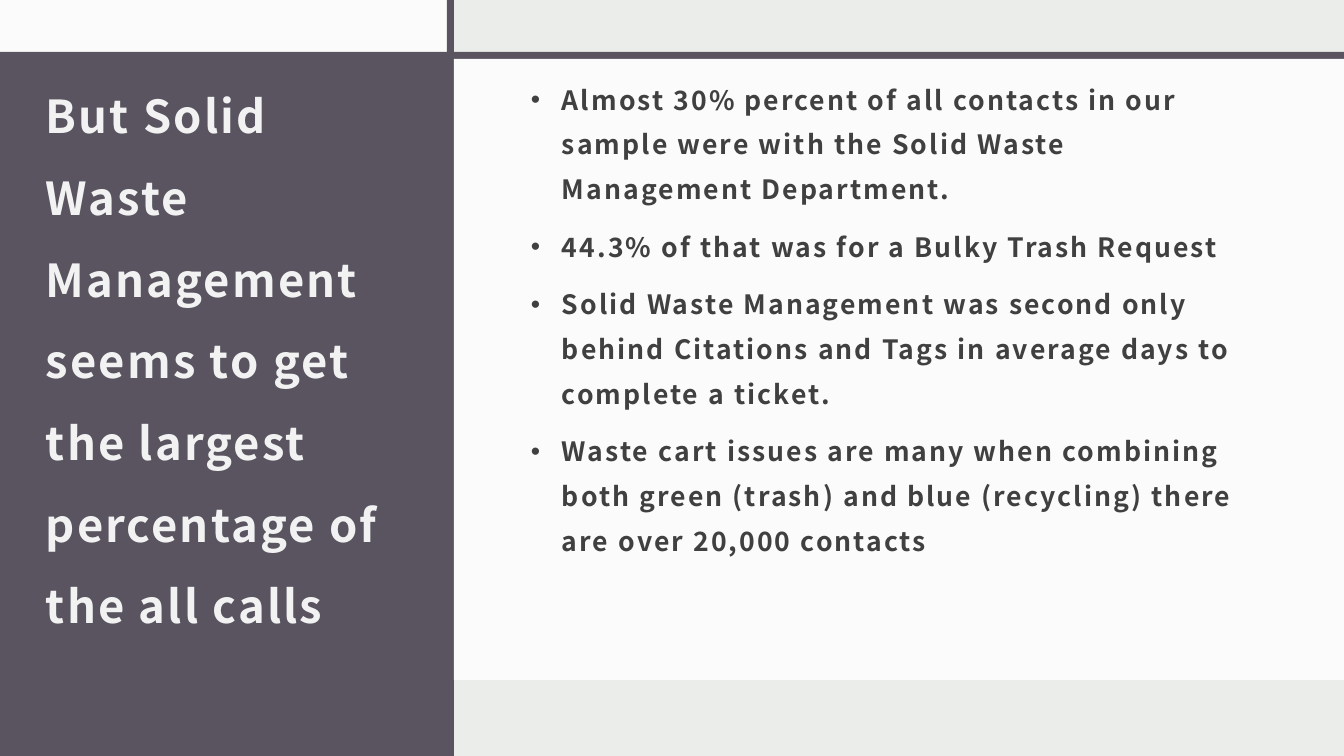
"""Build the slide about Solid Waste Management contacts."""
from lxml.etree import SubElement
from pptx import Presentation
from pptx.dml.color import RGBColor
from pptx.enum.shapes import MSO_SHAPE
from pptx.enum.text import MSO_ANCHOR, PP_ALIGN
from pptx.oxml.ns import qn
from pptx.util import Emu, Pt

WIDTH, HEIGHT = 1344, 756
SCALE = 12192000 / WIDTH
FONT = "Noto Sans CJK JP"
PLUM, MIST, PAPER = "595460", "EBEDEB", "FAFBFA"
BAR = 7
PANEL_WIDTH, HEADER_HEIGHT = 447, 52
CONTENT_LEFT, CONTENT_TOP = PANEL_WIDTH + BAR, HEADER_HEIGHT + BAR
CONTENT_HEIGHT = 621
TITLE = "But Solid Waste Management seems to get the largest percentage of the all calls"
FINDINGS = [
    "Almost 30% percent of all contacts in our sample were with the Solid Waste Management Department.",
    "44.3% of that was for a Bulky Trash Request",
    "Solid Waste Management was second only behind Citations and Tags in average days to complete a ticket.",
    "Waste cart issues are many when combining both green (trash) and blue (recycling) there are over 20,000 contacts",
]


def pixels(length):
    """Turn whole pixels into EMU."""
    return Emu(round(length * SCALE))


def set_color(target, color):
    """Give a fill a solid colour, or a font its text colour."""
    if hasattr(target, "solid"):
        target.solid()
        target.fore_color.rgb = RGBColor.from_string(color)
    else:
        target.color.rgb = RGBColor.from_string(color)


def add_block(slide, box, color):
    """Add a plain rectangle without outline or shadow."""
    shape = slide.shapes.add_shape(MSO_SHAPE.RECTANGLE, *map(pixels, box))
    set_color(shape.fill, color)
    shape.line.fill.background()
    shape.shadow.inherit = False


def add_bullet(paragraph, indent):
    """Give a paragraph a round bullet and a hanging indent."""
    properties = paragraph._p.get_or_add_pPr()
    properties.set("marL", str(pixels(indent)))
    properties.set("indent", str(-pixels(indent)))
    SubElement(properties, qn("a:buFont")).set("typeface", "Arial")
    SubElement(properties, qn("a:buChar")).set("char", "•")


def add_text(slide, box, texts, *, size, color, line_spacing,
             space_before=0, anchor=MSO_ANCHOR.TOP, indent=0):
    """Add a text box with one bold, letter-spaced paragraph per text."""
    frame = slide.shapes.add_textbox(*map(pixels, box)).text_frame
    frame.word_wrap = True
    frame.vertical_anchor = anchor
    frame.margin_left = frame.margin_right = frame.margin_top = pixels(12)
    frame.margin_bottom = pixels(10)
    for index, text in enumerate(texts):
        paragraph = frame.add_paragraph() if index else frame.paragraphs[0]
        paragraph.alignment = PP_ALIGN.LEFT
        paragraph.line_spacing = line_spacing
        paragraph.space_before = Pt(space_before)
        if indent:
            add_bullet(paragraph, indent)
        run = paragraph.add_run()
        run.text = text
        run.font.name = FONT
        run.font.size = Pt(size)
        run.font.bold = True
        set_color(run.font, color)
        properties = run._r.get_or_add_rPr()
        properties.set("spc", "150")
        SubElement(properties, qn("a:ea")).set("typeface", FONT)


def main():
    """Build and save the slide."""
    presentation = Presentation()
    presentation.slide_width = pixels(WIDTH)
    presentation.slide_height = pixels(HEIGHT)
    slide = presentation.slides.add_slide(presentation.slide_layouts[6])
    set_color(slide.background.fill, MIST)

    add_block(slide, (0, HEADER_HEIGHT, PANEL_WIDTH, HEIGHT - HEADER_HEIGHT), PLUM)
    add_block(slide, (0, 0, PANEL_WIDTH, HEADER_HEIGHT), PAPER)
    add_block(slide, (PANEL_WIDTH, 0, BAR, HEIGHT), PLUM)
    add_block(slide, (0, HEADER_HEIGHT, WIDTH, BAR), PLUM)
    add_block(slide, (CONTENT_LEFT, CONTENT_TOP, WIDTH - CONTENT_LEFT, CONTENT_HEIGHT), PAPER)

    add_text(slide, (34, 73, 398, 546), [TITLE], size=32.4, color="F2F2F2",
             line_spacing=1.5, anchor=MSO_ANCHOR.MIDDLE)
    add_text(slide, (519, CONTENT_TOP, 731, CONTENT_HEIGHT), FINDINGS, size=19,
             color="404040", line_spacing=1.4, space_before=9.3, indent=31)
    presentation.save("out.pptx")


main()
